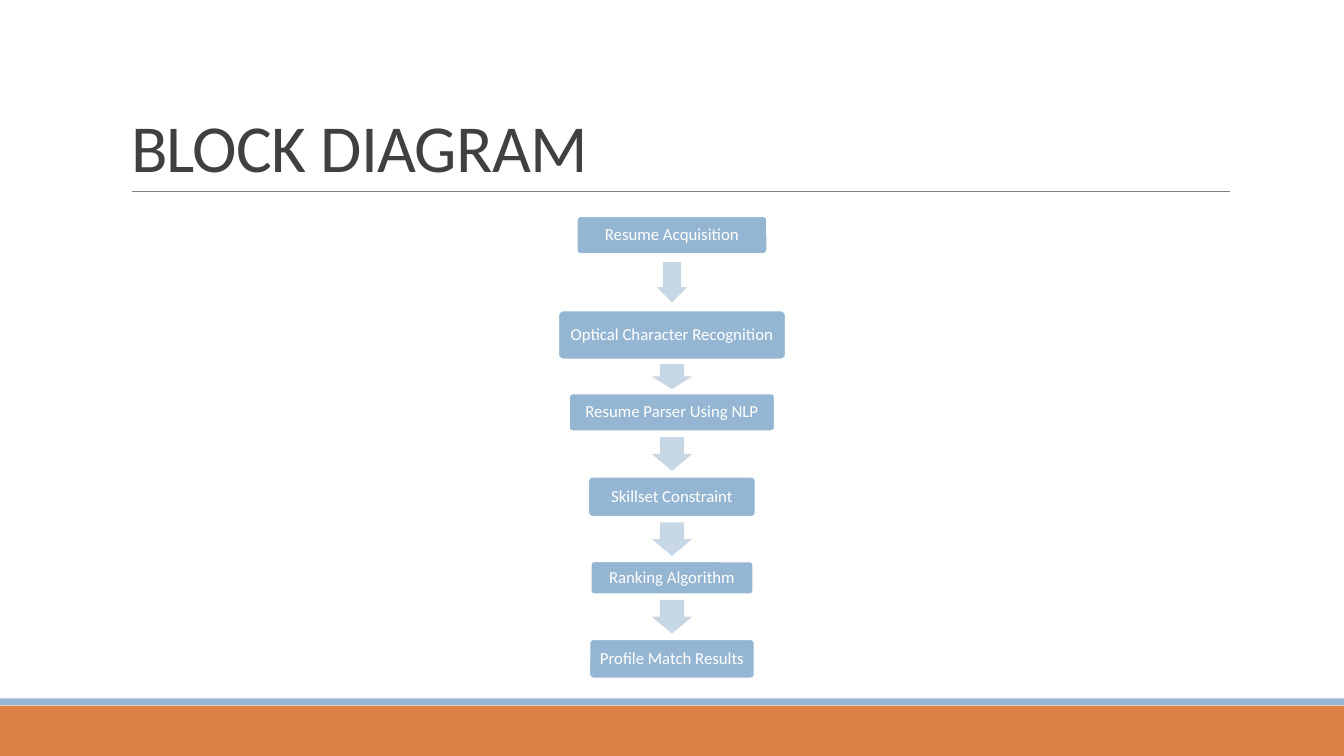
from lxml.etree import SubElement
from pptx import Presentation
from pptx.dml.color import RGBColor
from pptx.enum.shapes import MSO_CONNECTOR, MSO_SHAPE
from pptx.enum.text import MSO_ANCHOR, MSO_AUTO_SIZE, PP_ALIGN
from pptx.oxml.ns import qn
from pptx.util import Pt

WIDTH, HEIGHT = 960, 540
CENTER = WIDTH / 2
BLUE, PALE_BLUE, ORANGE = "94B6D2", "C8D7E5", "DD8047"
WHITE, GRAY, DARK = "FFFFFF", "808080", "404040"

STEPS = [
    ("Resume Acquisition", 154.4, 136, 27),
    ("Optical Character Recognition", 221.8, 162.5, 35),
    ("Resume Parser Using NLP", 281, 147, 27),
    ("Skillset Constraint", 340.6, 119.5, 28.5),
    ("Ranking Algorithm", 401, 116, 23.5),
    ("Profile Match Results", 456.6, 118, 28),
]
ARROWS = [(28.8, 21.6), (18, 28.8), (24, 28.8), (24, 28.8), (24, 28.8)]


def color(value):
    """Turn a hex string into a colour."""
    return RGBColor.from_string(value)


def apply(target, formats):
    """Set every attribute in a dict of format values."""
    for name, value in formats.items():
        setattr(target, name, value)


def add_block(shapes, kind, left, top, width, height, fill):
    """Add a filled preset shape without outline or shadow."""
    block = shapes.add_shape(kind, Pt(left), Pt(top), Pt(width), Pt(height))
    block.shadow.inherit = False
    block.fill.solid()
    block.fill.fore_color.rgb = color(fill)
    block.line.fill.background()
    return block


def write_text(box, text, size, hue, frame_formats, para_formats):
    """Write one formatted line into a shape and return its run."""
    frame = box.text_frame
    apply(frame, frame_formats)
    para = frame.paragraphs[0]
    apply(para, para_formats)
    span = para.add_run()
    span.text = text
    apply(span.font, {"name": "Calibri", "size": Pt(size)})
    span.font.color.rgb = color(hue)
    return span


def add_title(page, text):
    """Fill and place the title placeholder."""
    title = page.shapes.title
    apply(title, {"left": Pt(86.4), "top": Pt(22.5), "width": Pt(792), "height": Pt(114.2)})
    span = write_text(
        title, text, 48, DARK,
        {"vertical_anchor": MSO_ANCHOR.BOTTOM, "auto_size": MSO_AUTO_SIZE.NONE, "word_wrap": True},
        {"alignment": PP_ALIGN.LEFT, "line_spacing": 0.85},
    )
    span.font._element.set("spc", "-50")


def add_rule(page, left, right, top):
    """Draw the thin line below the title."""
    rule = page.shapes.add_connector(MSO_CONNECTOR.STRAIGHT, Pt(left), Pt(top), Pt(right), Pt(top))
    rule.line.color.rgb = color(GRAY)
    rule.line.width = Pt(0.5)
    SubElement(rule._element.spPr, qn("a:effectLst"))


def add_step(shapes, text, top, width, height):
    """Add one centred, labelled step of the flow."""
    step = add_block(shapes, MSO_SHAPE.ROUNDED_RECTANGLE, CENTER - width / 2, top, width, height, BLUE)
    step.adjustments[0] = 0.1
    step.line.color.rgb = color(WHITE)
    step.line.width = Pt(1.25)
    margins = {f"margin_{side}": Pt(3.6) for side in ("left", "top", "right", "bottom")}
    write_text(
        step, text, 12, WHITE,
        {**margins, "vertical_anchor": MSO_ANCHOR.MIDDLE, "word_wrap": True},
        {"alignment": PP_ALIGN.CENTER, "line_spacing": 0.9, "space_after": Pt(4.2)},
    )


def add_arrow(shapes, middle, length, breadth):
    """Add a downward arrow centred at the given height."""
    arrow = add_block(
        shapes, MSO_SHAPE.RIGHT_ARROW,
        CENTER - length / 2, middle - breadth / 2, length, breadth, PALE_BLUE,
    )
    arrow.rotation = 90
    arrow.adjustments[0] = 0.6
    arrow.adjustments[1] = 0.5


def add_flow(page):
    """Build the column of steps with an arrow midway in each gap."""
    shapes = page.shapes.add_group_shape().shapes
    for step in STEPS:
        add_step(shapes, *step)
    for above, below, arrow in zip(STEPS, STEPS[1:], ARROWS):
        gap_middle = (above[1] + above[3] + below[1]) / 2
        add_arrow(shapes, gap_middle, *arrow)


def main():
    """Build and save the slide."""
    deck = Presentation()
    apply(deck, {"slide_width": Pt(WIDTH), "slide_height": Pt(HEIGHT)})
    page = deck.slides.add_slide(deck.slide_layouts[5])
    add_block(page.shapes, MSO_SHAPE.RECTANGLE, 0, 504, WIDTH, 36, ORANGE)
    add_block(page.shapes, MSO_SHAPE.RECTANGLE, 0, 498.8, WIDTH, 5, BLUE)
    add_rule(page, 94.2, 878.8, 136.8)
    add_title(page, "BLOCK DIAGRAM")
    add_flow(page)
    deck.save("out.pptx")


if __name__ == "__main__":
    main()
